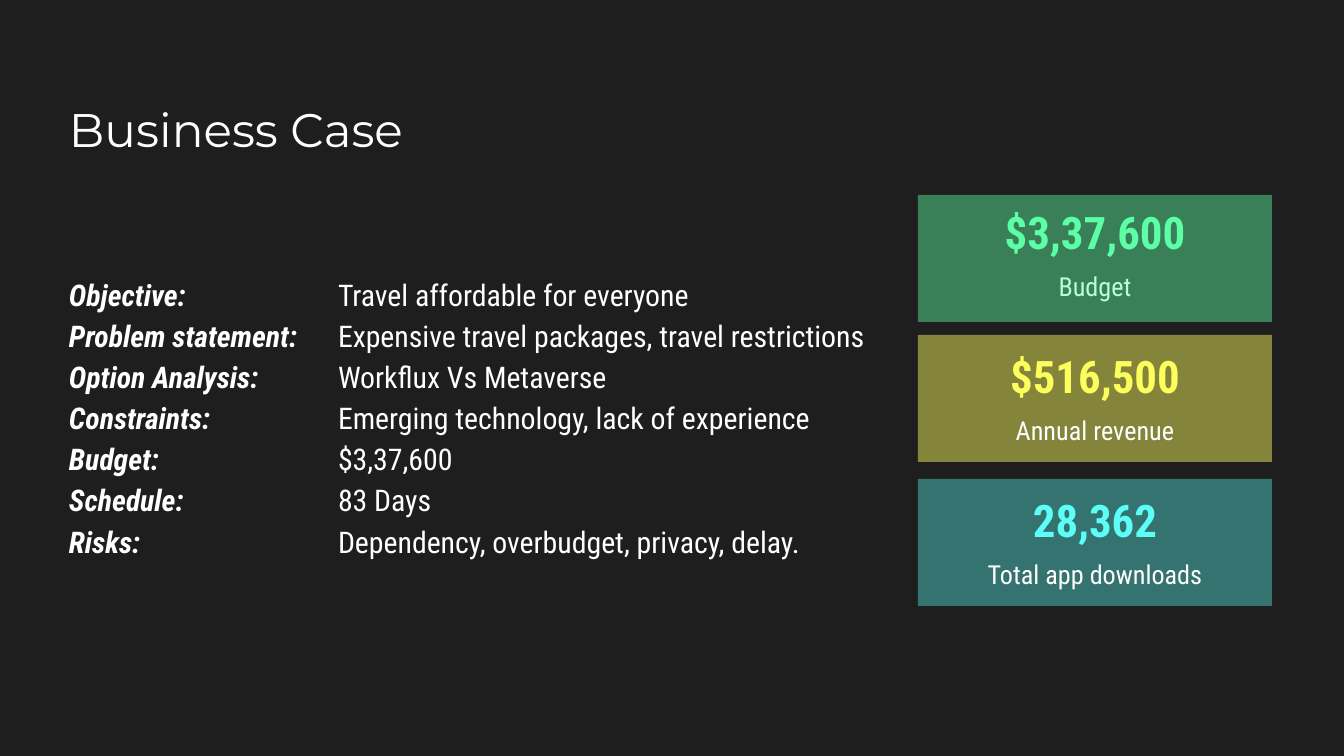
from lxml.etree import SubElement
from pptx import Presentation
from pptx.dml.color import RGBColor
from pptx.enum.shapes import MSO_SHAPE as SHAPE
from pptx.enum.text import MSO_ANCHOR as ANCHOR, PP_ALIGN as ALIGN
from pptx.oxml.ns import qn
from pptx.util import Emu, Pt

SCALE = 914400 / 134.4
BODY_FONT = "Roboto Condensed"
WHITE = "FFFFFF"
CASE_ROWS = [
    ("Objective:", "Travel affordable for everyone"),
    ("Problem statement:", "Expensive travel packages, travel restrictions"),
    ("Option Analysis:", "Workflux Vs Metaverse"),
    ("Constraints:", "Emerging technology, lack of experience"),
    ("Budget:", "$3,37,600"),
    ("Schedule:", "83 Days"),
    ("Risks:", "Dependency, overbudget, privacy, delay."),
]


def px(n):
    return Emu(round(n * SCALE))


def rgb(color):
    return RGBColor.from_string(color)


def set_font(font, name, size, color, bold=False):
    font.name = name
    font.size = Pt(size)
    font.color.rgb = rgb(color)
    font.bold = bold


def add_box(slide, x, y, w, h, anchor=ANCHOR.MIDDLE):
    tf = slide.shapes.add_textbox(px(x), px(y), px(w), px(h)).text_frame
    tf.word_wrap = True
    tf.vertical_anchor = anchor
    tf.margin_left = tf.margin_right = tf.margin_top = tf.margin_bottom = px(13)
    return tf


def add_label(slide, box, text, font, size, color, bold=False, align=ALIGN.LEFT):
    p = add_box(slide, *box).paragraphs[0]
    p.text = text
    p.alignment = align
    set_font(p.font, font, size, color, bold)


def add_tab_stop(p, position):
    tabs = SubElement(p._p.get_or_add_pPr(), qn("a:tabLst"))
    SubElement(tabs, qn("a:tab"), pos=str(px(position)), algn="l")


def add_case_list(slide, rows):
    tf = add_box(slide, 56, 258, 1134, 420, ANCHOR.TOP)
    for i, (term, detail) in enumerate(rows):
        p = tf.add_paragraph() if i else tf.paragraphs[0]
        p.line_spacing = 1.15
        add_tab_stop(p, 269)
        for text, strong in ((term, True), ("\t" + detail, False)):
            r = p.add_run()
            r.text = text
            set_font(r.font, BODY_FONT, 16, WHITE, strong)
            r.font.italic = strong


def add_card(slide, y, color, opacity):
    sp = slide.shapes.add_shape(SHAPE.ROUNDED_RECTANGLE, px(918), px(y), px(354), px(127))
    sp.adjustments[0] = 0
    sp.shadow.inherit = False
    sp.fill.solid()
    sp.fill.fore_color.rgb = rgb(color)
    fill = sp.fill._xPr.find(qn("a:solidFill"))
    SubElement(fill[0], qn("a:alpha"), val=str(opacity * 1000))
    sp.line.fill.background()


def add_figure(slide, y, value, caption, color):
    add_label(slide, (902, y, 386, 63), value, BODY_FONT, 24, color, True, ALIGN.CENTER)
    add_label(slide, (902, y + 63, 386, 46), caption, BODY_FONT, 14, WHITE, align=ALIGN.CENTER)


def main():
    prs = Presentation()
    prs.slide_width, prs.slide_height = px(1344), px(756)
    slide = prs.slides.add_slide(prs.slide_layouts[6])
    slide.background.fill.solid()
    slide.background.fill.fore_color.rgb = rgb("1E1E1E")

    add_label(slide, (56, 94, 1134, 69), "Business Case", "Montserrat", 25.2, WHITE)
    add_case_list(slide, CASE_ROWS)

    add_card(slide, 479, "5CFFF8", 38)
    add_card(slide, 335, "FDFF5C", 46)
    figures = [
        ("$3,37,600", "Budget", "5CFFA6"),
        ("$516,500", "Annual revenue", "FDFF5C"),
        ("28,362", "Total app downloads", "5CFFF8"),
    ]
    for i, figure in enumerate(figures):
        add_figure(slide, 200 + 144 * i, *figure)
    add_card(slide, 195, "5CFFA6", 44)

    prs.save("out.pptx")


main()
